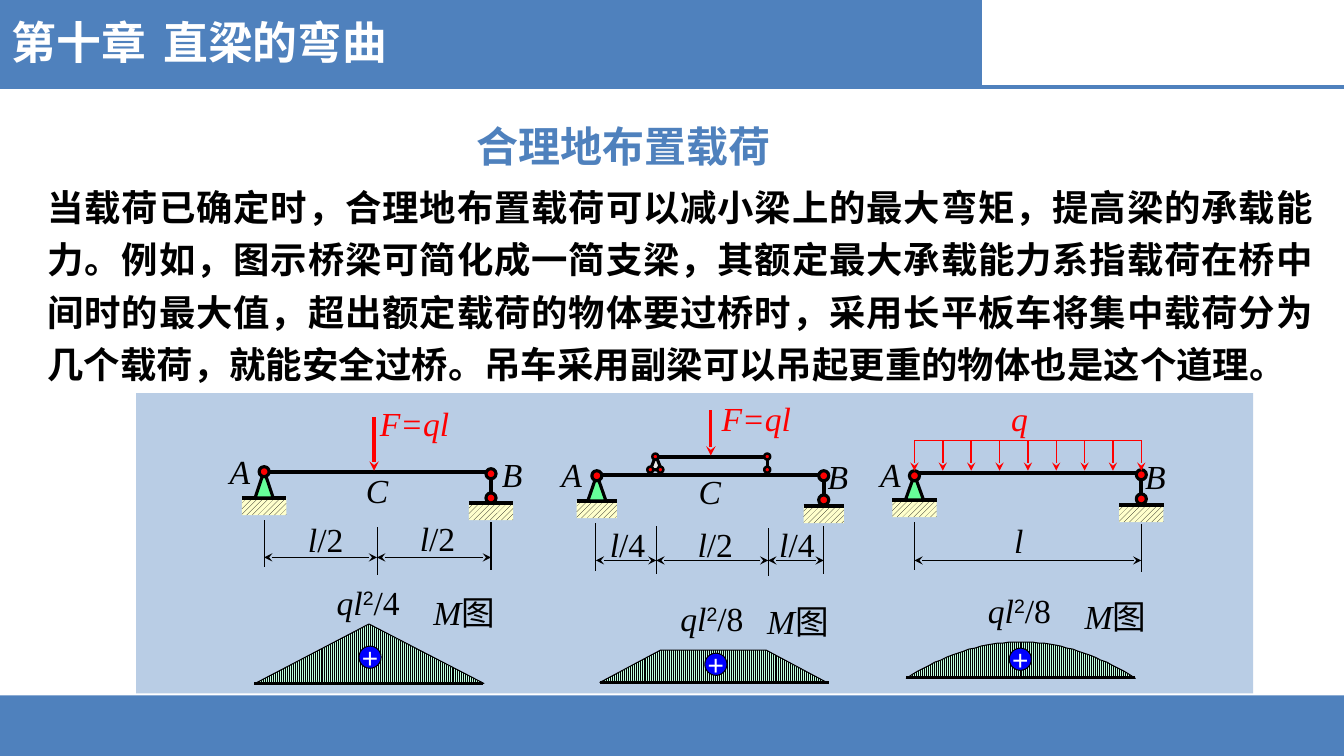
from lxml import etree
from pptx import Presentation
from pptx import util as u
from pptx.dml import color
from pptx.enum import dml, shapes, text
from pptx.oxml import ns

SCALE = 9144
COLORS = {"blue": "4F81BD", "panel": "B9CDE5", "white": "FFFFFF", "black": "000000",
          "red": "FF0000", "pin": "66FF99", "small_pin": "EAEAEA", "plus": "0000FF",
          "moment": "BDFFDE", "ground": "FFFFCC"}
SERIF, SANS, CHINESE = "Times New Roman", "Arial", "Noto Sans CJK SC"
GEOMETRY = shapes.MSO_SHAPE
ALIGN = text.PP_ALIGN

CHAPTER = "第十章\t直梁的弯曲"
TITLE = "合理地布置载荷"
BODY = ("当载荷已确定时，合理地布置载荷可以减小梁上的最大弯矩，提高梁的承载能力。"
        "例如，图示桥梁可简化成一简支梁，其额定最大承载能力系指载荷在桥中间时的最大值，"
        "超出额定载荷的物体要过桥时，采用长平板车将集中载荷分为几个载荷，就能安全过桥。"
        "吊车采用副梁可以吊起更重的物体也是这个道理。")

BEAMS = [
    {"pin": (262, 468, 494), "roller": (487, 470, 499), "beam_y": 468, "ground_width": 44,
     "ticks": [(262, 516), (374, 523), (487, 518)], "dimension_y": 553},
    {"pin": (592, 472, 497), "roller": (817, 472, 502), "beam_y": 471, "ground_width": 40,
     "ticks": [(591, 519), (651, 522), (762, 524), (817, 522)], "dimension_y": 556},
    {"pin": (907, 472, 496), "roller": (1132, 471, 501), "beam_y": 469, "ground_width": 44,
     "ticks": [(907, 518), (1132, 520)], "dimension_y": 556},
]
LETTERS = [("A", 218, 442), ("B", 488, 445), ("C", 353, 461),
           ("A", 547, 445), ("B", 811, 447), ("C", 683, 462),
           ("A", 863, 445), ("B", 1126, 447), ("l", 996, 511)]
LOAD_LABELS = [("F=ql", 367, 395), ("F=ql", 706, 390), ("q", 993, 390)]
FRACTIONS = [("/2", 287, 510), ("/2", 398, 509), ("/4", 595, 515), ("/2", 682, 515), ("/4", 763, 515)]
POINT_LOADS = [(371, 414, 467), (705, 407, 452)]
ARC = [(899 + 227 * i / 40, 673 - 36 * (1 - (i / 20 - 1) ** 2)) for i in range(41)]
MOMENTS = [
    {"outline": [(253, 678), (366, 619), (480, 678)], "base": (252, 479, 678),
     "label": ("/4", 324, 572), "plus": (356, 641), "name": (420, 582)},
    {"outline": [(595, 677), (655, 645), (760, 645), (820, 677)], "base": (595, 822, 677),
     "label": ("/8", 665, 588), "plus": (699, 648), "name": (751, 591)},
    {"outline": ARC, "base": (899, 1126, 672),
     "label": ("/8", 970, 580), "plus": (1001, 643), "name": (1066, 586)},
]
SMALL_HINGES = [(761, 453), (761, 466), (650, 453), (645, 466), (655, 466)]


def px(value):
    return u.Emu(round(value * SCALE))


def rgb(name):
    return color.RGBColor.from_string(COLORS[name])


def place(shape, left, top, width, height):
    shape.left, shape.top, shape.width, shape.height = map(px, (left, top, width, height))
    return shape


def write(shape, runs, size=24, ink="black", font=SERIF, bold=False, italic=False,
          align=ALIGN.LEFT, spacing=None, tab=None, margins=(10, 5), anchor=text.MSO_ANCHOR.TOP, wrap=True):
    frame = shape.text_frame
    frame.word_wrap, frame.auto_size, frame.vertical_anchor = wrap, text.MSO_AUTO_SIZE.NONE, anchor
    frame.margin_left = frame.margin_right = px(margins[0])
    frame.margin_top = frame.margin_bottom = px(margins[1])
    paragraph = frame.paragraphs[0]
    paragraph.alignment, paragraph.line_spacing, paragraph.space_before = align, spacing, u.Pt(0)
    properties = paragraph._p.get_or_add_pPr()
    properties.set("marL", "0")
    properties.set("indent", "0")
    etree.SubElement(properties, ns.qn("a:buNone"))
    if tab:
        tabs = etree.SubElement(properties, ns.qn("a:tabLst"))
        etree.SubElement(tabs, ns.qn("a:tab"), pos=str(px(tab)), algn="l")
    for words, changes in [(runs, {})] if isinstance(runs, str) else runs:
        run = paragraph.add_run()
        run.text = words
        run.font.name = changes.get("font", font)
        run.font.size, run.font.bold = u.Pt(size), bold
        run.font.italic = changes.get("italic", italic)
        run.font.color.rgb = rgb(ink)
        run_properties = run._r.get_or_add_rPr()
        etree.SubElement(run_properties, ns.qn("a:ea"), typeface=CHINESE)
        if "baseline" in changes:
            run_properties.set("baseline", str(changes["baseline"] * 1000))


def label(runs, left, top, width, height=54, **style):
    box = slide.shapes.add_textbox(px(left), px(top), px(width), px(height))
    write(box, runs, **style)


def paint(shape, fill, line=None, pattern=None):
    shape.shadow.inherit = False
    if pattern:
        shape.fill.patterned()
        shape.fill.pattern = pattern
        shape.fill.fore_color.rgb, shape.fill.back_color.rgb = rgb("black"), rgb(fill)
    else:
        shape.fill.solid()
        shape.fill.fore_color.rgb = rgb(fill)
    if line:
        shape.line.color.rgb, shape.line.width = rgb("black"), u.Pt(line)
    else:
        shape.line.fill.background()
    return shape


def block(kind, left, top, width, height, fill, **style):
    shape = slide.shapes.add_shape(kind, px(left), px(top), px(width), px(height))
    return paint(shape, fill, **style)


def line(x1, y1, x2, y2, width, ink="black", ends=()):
    connector = slide.shapes.add_connector(shapes.MSO_CONNECTOR.STRAIGHT, px(x1), px(y1), px(x2), px(y2))
    connector.line.color.rgb, connector.line.width = rgb(ink), u.Pt(width)
    for end in ends:
        etree.SubElement(connector.line._get_or_add_ln(), ns.qn("a:" + end), type="stealth")
    etree.SubElement(connector._element.spPr, ns.qn("a:effectLst"))


def hinge(x, y, size=10, width=2.25):
    block(GEOMETRY.OVAL, x - size / 2, y - size / 2, size, size, "red", line=width)


def ground(x, y, width):
    block(GEOMETRY.RECTANGLE, x - width / 2, y, width, 17, "ground",
          pattern=dml.MSO_PATTERN.WIDE_UPWARD_DIAGONAL)
    line(x - width / 2, y, x + width / 2, y, 3)


def draw_beam(beam):
    pin_x, pin_y, pin_ground = beam["pin"]
    roller_x, roller_y, roller_ground = beam["roller"]
    ground(pin_x, pin_ground, beam["ground_width"])
    ground(roller_x, roller_ground, beam["ground_width"])
    block(GEOMETRY.ISOSCELES_TRIANGLE, pin_x - 9, pin_y - 1, 18, pin_ground - pin_y + 1, "pin", line=2.25)
    line(roller_x, roller_y, roller_x, roller_y + 22, 3)
    line(pin_x + 1, beam["beam_y"], roller_x + 2, beam["beam_y"], 3)
    for x, y in [(pin_x, pin_y), (roller_x, roller_y), (roller_x, roller_y + 24)]:
        hinge(x, y)
    for x, top in beam["ticks"]:
        line(x, top, x, top + 47, 0.75)
    for (start, _), (stop, _) in zip(beam["ticks"], beam["ticks"][1:]):
        line(start, beam["dimension_y"], stop, beam["dimension_y"], 1, ends=("headEnd", "tailEnd"))


def draw_moment(moment):
    points = moment["outline"]
    builder = slide.shapes.build_freeform(*points[0], scale=SCALE)
    builder.add_line_segments(points[1:], close=True)
    paint(builder.convert_to_shape(), "moment", line=0.75, pattern=dml.MSO_PATTERN.LIGHT_VERTICAL)
    left, right, y = moment["base"]
    line(left, y, right, y, 2.25)
    divisor, x, top = moment["label"]
    label([("ql", {"italic": True}), ("2", {"font": SANS, "baseline": 30}), (divisor, {})], x, top, 89)
    circle = block(GEOMETRY.OVAL, *moment["plus"], 22, 22, "plus", line=0.75)
    write(circle, "+", size=20, ink="white", font=SANS, align=ALIGN.CENTER, margins=(0, 0),
          anchor=text.MSO_ANCHOR.MIDDLE, wrap=False)
    label([("M", {"italic": True}), ("图", {})], *moment["name"], 89)


presentation = Presentation()
presentation.slide_width, presentation.slide_height = px(1333), px(750)
slide = presentation.slides.add_slide(presentation.slide_layouts[1])

block(GEOMETRY.RECTANGLE, 0, 690, 1333, 60, "blue")
block(GEOMETRY.RECTANGLE, 0, -1, 974, 87, "blue")
line(0, 86, 1333, 86, 3, "blue")
label(CHAPTER, 2, 10, 419, 64, size=32, ink="white", font=CHINESE, bold=True, tab=164)
write(place(slide.shapes.title, 463, 105, 327, 66), TITLE,
      size=30, ink="blue", font=CHINESE, bold=True, spacing=1.2)
write(place(slide.placeholders[1], 37, 170, 1276, 216), BODY,
      size=26, bold=True, align=ALIGN.JUSTIFY, spacing=1.2)
block(GEOMETRY.RECTANGLE, 135, 390, 1108, 298, "panel")

for moment in MOMENTS:
    draw_moment(moment)
for beam in BEAMS:
    draw_beam(beam)

line(761, 454, 761, 467, 2.25)
block(GEOMETRY.ISOSCELES_TRIANGLE, 645, 452, 11, 14, "small_pin", line=2.25)
line(651, 453, 762, 453, 3)
for x, y in SMALL_HINGES:
    hinge(x, y, size=6, width=1.75)

for x, top, bottom in POINT_LOADS:
    line(x, top, x, bottom, 2.25, "red", ends=("tailEnd",))
line(907, 437, 1132, 437, 0.75, "red")
for index in range(9):
    x = 907 + index * 225 / 8
    line(x, 437, x, 467, 1, "red", ends=("tailEnd",))

for letter, left, top in LETTERS:
    label(letter, left, top, 60, italic=True)
for load, left, top in LOAD_LABELS:
    label(load, left, top, 119, italic=True, ink="red")
for divisor, left, top in FRACTIONS:
    label([("l", {"italic": True}), (divisor, {})], left, top, 72,
          align=ALIGN.CENTER if left < 500 else ALIGN.LEFT)

presentation.save("out.pptx")
